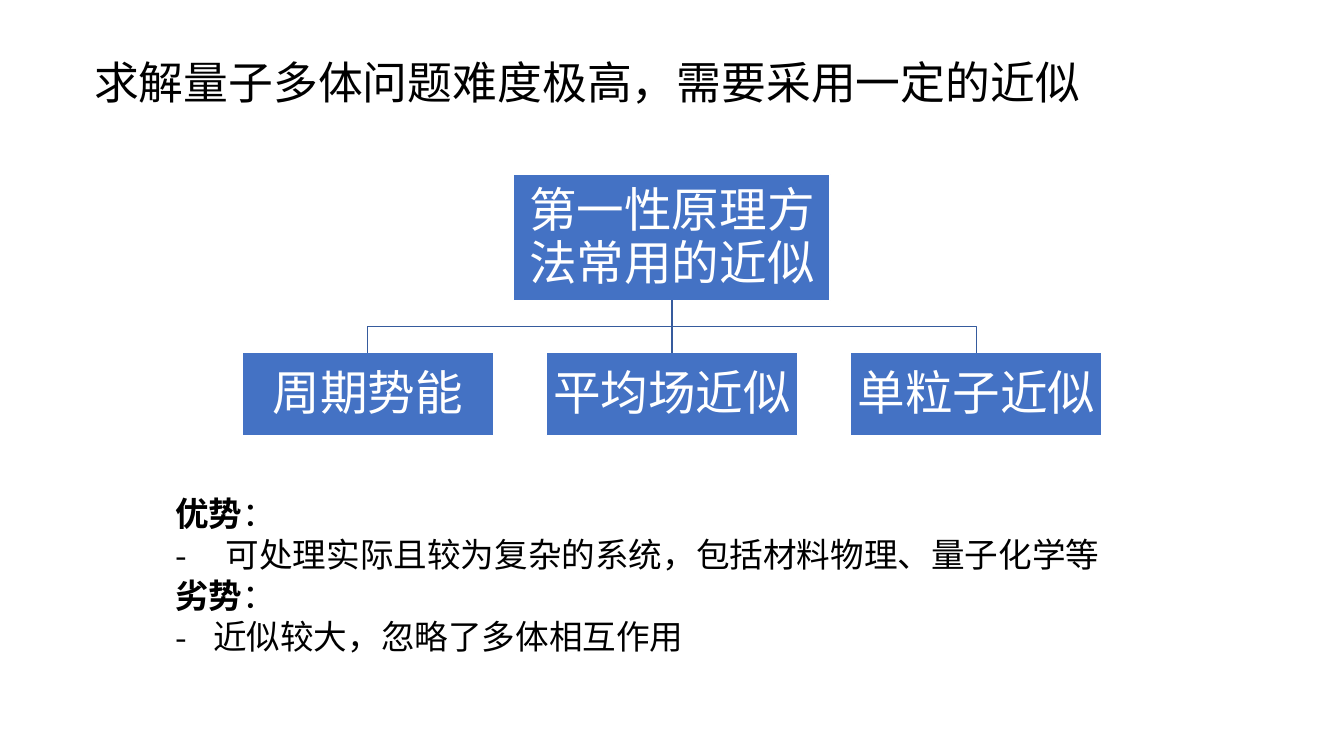
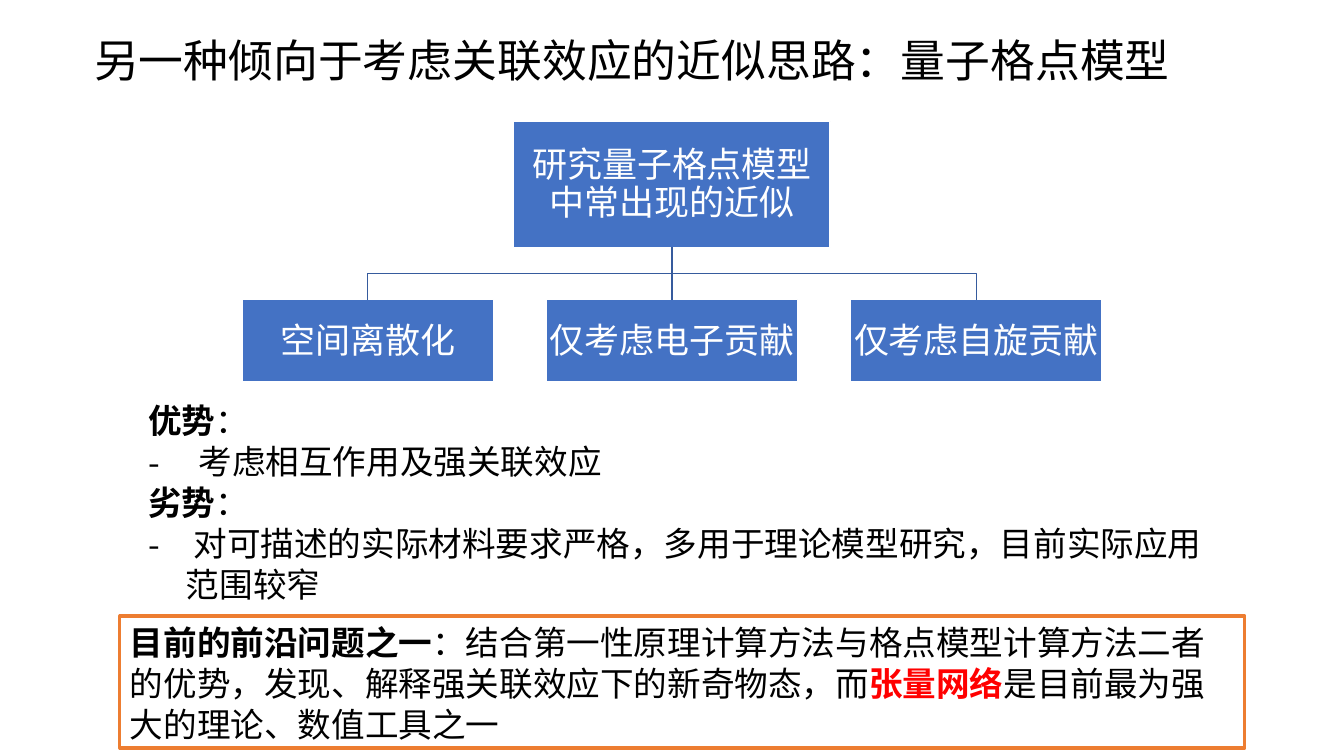
"""Build two slides that compare approximation strategies for quantum many-body problems."""
from dataclasses import dataclass
from typing import Optional

import lxml.etree
import pptx
import pptx.dml.color
import pptx.enum.shapes
import pptx.enum.text
import pptx.oxml.ns
import pptx.util

Pt = pptx.util.Pt
RGB = pptx.dml.color.RGBColor
ANCHOR = pptx.enum.text.MSO_ANCHOR
ALIGN = pptx.enum.text.PP_ALIGN
RECT = pptx.enum.shapes.MSO_SHAPE.RECTANGLE
STRAIGHT = pptx.enum.shapes.MSO_CONNECTOR.STRAIGHT
qn = pptx.oxml.ns.qn


@dataclass(frozen=True)
class Theme:
    font: str = "Noto Sans CJK SC"
    text: RGB = RGB(0, 0, 0)
    paper: RGB = RGB(255, 255, 255)
    box: RGB = RGB(0x44, 0x72, 0xC4)
    link: RGB = RGB(0x36, 0x5B, 0x9D)
    frame: RGB = RGB(0xED, 0x7D, 0x31)
    accent: RGB = RGB(255, 0, 0)
    title_size: float = 32
    body_size: float = 24
    leading: float = 1.22
    thin: float = 1
    thick: float = 2.25


THEME = Theme()


@dataclass(frozen=True)
class Area:
    left: float
    top: float
    width: float
    height: float


@dataclass(frozen=True)
class Span:
    text: str
    bold: bool = False
    color: RGB = THEME.text


@dataclass(frozen=True)
class Para:
    spans: tuple[Span, ...]
    hang: float = 0


@dataclass(frozen=True)
class Tree:
    top: float
    size: float
    root: str
    leaves: tuple[str, ...]


@dataclass(frozen=True)
class Page:
    title: str
    title_top: float
    tree: Tree
    body: Area
    pros: str
    cons: str
    note: Optional[Para] = None


SLIDE_W, SLIDE_H = 960, 540
ROOT_W, ROOT_H = 226, 90
LEAF_W, LEAF_H = 179.4, 59
LEAF_PITCH, LEVEL_GAP = 217.4, 37.4
BOX_INSET = 1.2
PROS_HANG, CONS_HANG = 36, 27
NOTE_AREA = Area(85.7, 440, 803.5, 94.4)

PAGES = (
    Page(
        "求解量子多体问题难度极高，需要采用一定的近似", 34.6,
        Tree(124.6, 34, "第一性原理方法常用的近似",
             ("周期势能", "平均场近似", "单粒子近似")),
        Area(118, 348, 724, 124),
        "可处理实际且较为复杂的系统，包括材料物理、量子化学等",
        "近似较大，忽略了多体相互作用",
    ),
    Page(
        "另一种倾向于考虑关联效应的近似思路：量子格点模型", 19.4,
        Tree(86.6, 25, "研究量子格点模型中常出现的近似",
             ("空间离散化", "仅考虑电子贡献", "仅考虑自旋贡献")),
        Area(98.6, 281.5, 790.6, 152.6),
        "考虑相互作用及强关联效应",
        " 对可描述的实际材料要求严格，多用于理论模型研究，目前实际应用范围较窄",
        Para((
            Span("目前的前沿问题之一", True),
            Span("：结合第一性原理计算方法与格点模型计算方法二者的优势，"
                 "发现、解释强关联效应下的新奇物态，而"),
            Span("张量网络", True, THEME.accent),
            Span("是目前最为强大的理论、数值工具之一"),
        )),
    ),
)


def place(sp, area: Area) -> None:
    sp.left, sp.top = Pt(area.left), Pt(area.top)
    sp.width, sp.height = Pt(area.width), Pt(area.height)


def add_spans(p, spans: tuple[Span, ...], size: float) -> None:
    for span in spans:
        r = p.add_run()
        r.text = span.text
        r.font.size = Pt(size)
        r.font.bold = span.bold
        r.font.color.rgb = span.color
        r.font.name = THEME.font
        ea = lxml.etree.SubElement(r.font._element, qn("a:ea"))
        ea.set("typeface", THEME.font)


def set_bullet(p, hang: float) -> None:
    ppr = p._p.get_or_add_pPr()
    ppr.set("marL", str(Pt(hang)))
    ppr.set("indent", str(-Pt(hang)))
    if hang:
        font = lxml.etree.SubElement(ppr, qn("a:buFont"))
        font.set("typeface", THEME.font)
        lxml.etree.SubElement(ppr, qn("a:buChar")).set("char", "-")
    else:
        lxml.etree.SubElement(ppr, qn("a:buNone"))


def write(tf, paras: tuple[Para, ...], size: float, align=ALIGN.LEFT,
          anchor=ANCHOR.TOP, tight: float = 1) -> None:
    tf.word_wrap = True
    tf.auto_size = pptx.enum.text.MSO_AUTO_SIZE.NONE
    tf.vertical_anchor = anchor
    for i, para in enumerate(paras):
        p = tf.add_paragraph() if i else tf.paragraphs[0]
        set_bullet(p, para.hang)
        p.alignment = align
        p.line_spacing = Pt(size * THEME.leading * tight)
        p.space_before = p.space_after = Pt(0)
        add_spans(p, para.spans, size)


def add_rect(slide, area: Area, fill: RGB, line: RGB, weight: float):
    sp = slide.shapes.add_shape(RECT, 0, 0, 0, 0)
    place(sp, area)
    sp.shadow.inherit = False
    sp.fill.solid()
    sp.fill.fore_color.rgb = fill
    sp.line.color.rgb = line
    sp.line.width = Pt(weight)
    return sp


def add_node(slide, area: Area, text: str, size: float):
    sp = add_rect(slide, area, THEME.box, THEME.paper, THEME.thin)
    tf = sp.text_frame
    tf.margin_left = tf.margin_right = Pt(BOX_INSET)
    tf.margin_top = tf.margin_bottom = Pt(BOX_INSET)
    write(tf, (Para((Span(text, color=THEME.paper),)),), size,
          ALIGN.CENTER, ANCHOR.MIDDLE, 0.9)
    return sp


def add_link(slide, root, leaf) -> None:
    x1, y1 = root.left + root.width // 2, root.top + root.height
    x2, y2 = leaf.left + leaf.width // 2, leaf.top
    if abs(x2 - x1) < Pt(1):
        sp = slide.shapes.add_connector(STRAIGHT, x1, y1, x2, y2)
        sp.begin_connect(root, 2)
        sp.end_connect(leaf, 0)
        lxml.etree.SubElement(sp._element.spPr, qn("a:effectLst"))
    else:
        mid = (y1 + y2) // 2
        pen = slide.shapes.build_freeform(x1, y1)
        pen.add_line_segments([(x1, mid), (x2, mid), (x2, y2)], close=False)
        sp = pen.convert_to_shape()
        sp.shadow.inherit = False
        sp.fill.background()
    sp.line.color.rgb = THEME.link
    sp.line.width = Pt(THEME.thin)


def add_tree(slide, tree: Tree) -> None:
    center = SLIDE_W / 2
    root = add_node(slide, Area(center - ROOT_W / 2, tree.top, ROOT_W, ROOT_H),
                    tree.root, tree.size)
    leaf_top = tree.top + ROOT_H + LEVEL_GAP
    for i, text in enumerate(tree.leaves):
        x = center + (i - (len(tree.leaves) - 1) / 2) * LEAF_PITCH
        area = Area(x - LEAF_W / 2, leaf_top, LEAF_W, LEAF_H)
        add_link(slide, root, add_node(slide, area, text, tree.size))


def add_page(prs, page: Page) -> None:
    slide = prs.slides.add_slide(prs.slide_layouts[1])
    title, body = slide.placeholders
    place(title, Area(60, page.title_top, 841, 46))
    write(title.text_frame, (Para((Span(page.title),)),), THEME.title_size)
    add_tree(slide, page.tree)
    place(body, page.body)
    paras = []
    for label, text, hang in (("优势", page.pros, PROS_HANG),
                              ("劣势", page.cons, CONS_HANG)):
        paras.append(Para((Span(label, True), Span("："))))
        paras.append(Para((Span(text),), hang))
    write(body.text_frame, tuple(paras), THEME.body_size)
    if page.note:
        sp = add_rect(slide, NOTE_AREA, THEME.paper, THEME.frame, THEME.thick)
        write(sp.text_frame, (page.note,), THEME.body_size)


def main() -> None:
    prs = pptx.Presentation()
    prs.slide_width, prs.slide_height = Pt(SLIDE_W), Pt(SLIDE_H)
    for page in PAGES:
        add_page(prs, page)
    prs.save("out.pptx")


if __name__ == "__main__":
    main()
